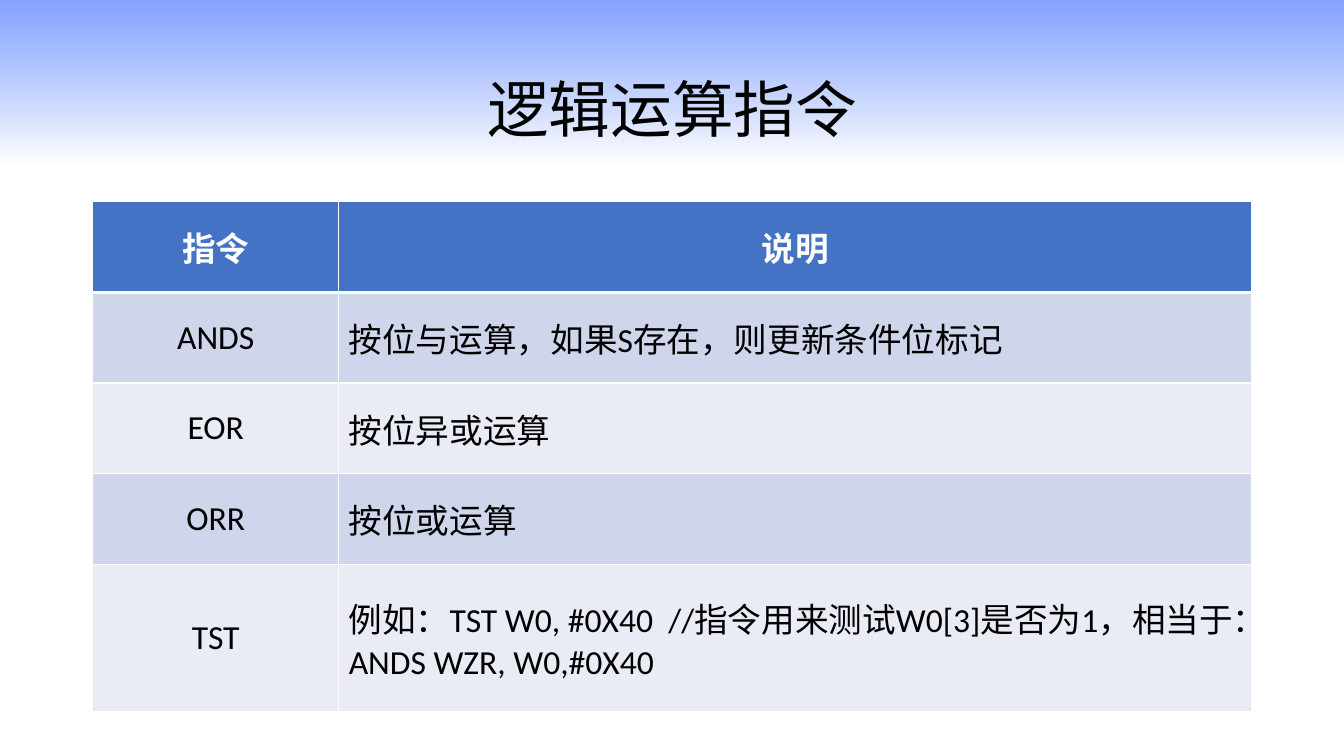
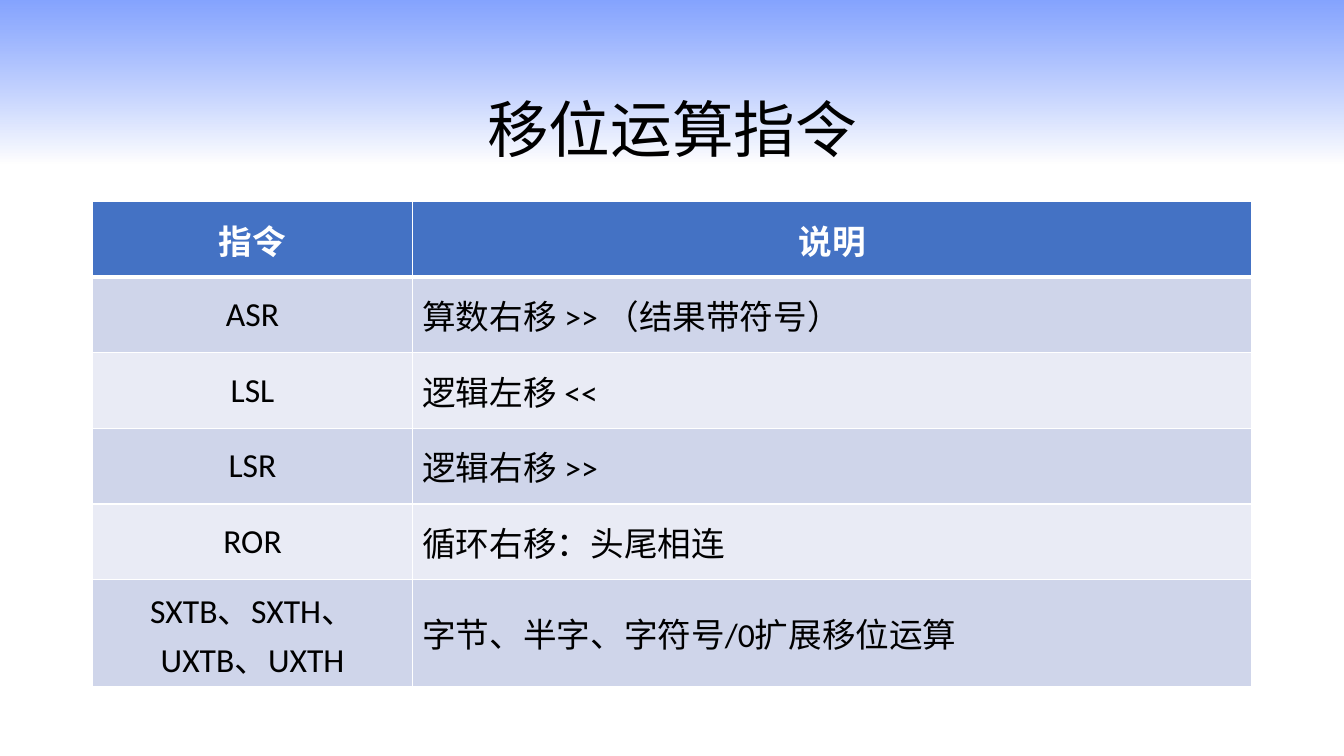
from dataclasses import dataclass

import lxml.etree
import pptx
import pptx.dml.color
import pptx.enum.shapes
import pptx.enum.text
import pptx.oxml.ns
import pptx.presentation
import pptx.slide
import pptx.table
import pptx.text.text
import pptx.util

COLORS = {
    "band": "3366FF",
    "white": "FFFFFF",
    "black": "000000",
    "header": "4472C4",
    "odd": "CFD5EA",
    "even": "E9EBF5",
}
TITLE_FONT, BODY_FONT = "Times New Roman", "Calibri"
TITLE_SIZE, BODY_SIZE = 44, 24
WIDTH, HEIGHT = pptx.util.Inches(13.33), pptx.util.Inches(7.5)

# Percentages of the slide's width and height
LEFT, CONTENT_WIDTH = 6.9, 86.25
BAND_HEIGHT, TITLE_HEIGHT, TABLE_TOP = 21.6, 11.5, 26.67
BAND_ALPHAS = (60, 70)

CENTER = pptx.enum.text.PP_ALIGN.CENTER
MIDDLE = pptx.enum.text.MSO_ANCHOR.MIDDLE
HEADER = ("指令", "说明")


@dataclass(frozen=True)
class InstructionSlide:
    title: str
    title_top: float  # % of slide height
    first_column: float  # % of table width
    row_height: float  # % of slide height
    last_row_height: float  # % of slide height, for the row of several lines
    rows: tuple[tuple[str, str], ...]  # a line break starts a new paragraph


SLIDES = (
    InstructionSlide("逻辑运算指令", 9.07, 21.22, 12, 19.5, (
        ("ANDS", "按位与运算，如果S存在，则更新条件位标记"),
        ("EOR", "按位异或运算"),
        ("ORR", "按位或运算"),
        ("TST", "例如：TST W0, #0X40  //指令用来测试W0[3]是否为1，相当于：\n"
                "ANDS WZR, W0,#0X40"),
    )),
    InstructionSlide("移位运算指令", 11.73, 27.57, 10, 14.2, (
        ("ASR", "算数右移 >> （结果带符号）"),
        ("LSL", "逻辑左移 <<"),
        ("LSR", "逻辑右移 >>"),
        ("ROR", "循环右移：头尾相连"),
        ("SXTB、SXTH、\nUXTB、UXTH", "字节、半字、字符号/0扩展移位运算"),
    )),
)


def across(percent: float) -> int:
    return round(WIDTH * percent / 100)


def down(percent: float) -> int:
    return round(HEIGHT * percent / 100)


def rgb(name: str) -> pptx.dml.color.RGBColor:
    return pptx.dml.color.RGBColor.from_string(COLORS[name])


def add_child(parent: lxml.etree._Element, tag: str,
              **attributes: str) -> lxml.etree._Element:
    return lxml.etree.SubElement(parent, pptx.oxml.ns.qn(tag), attributes)


def add_run(p: pptx.text.text._Paragraph, text: str, font: str, size: int,
            color: str, bold: bool = False) -> None:
    r = p.add_run()
    r.text = text
    r.font.name, r.font.size, r.font.bold = font, pptx.util.Pt(size), bold
    r.font.color.rgb = rgb(color)


def add_band(s: pptx.slide.Slide) -> None:
    sp = s.shapes.add_shape(pptx.enum.shapes.MSO_SHAPE.RECTANGLE,
                            0, 0, WIDTH, down(BAND_HEIGHT))
    sp.shadow.inherit = False
    sp.line.fill.background()
    sp.fill.gradient()
    sp.fill.gradient_angle = 270
    stops = sp.fill.gradient_stops
    for stop, position, color in zip(stops, (0, 1), ("band", "white")):
        stop.position = position
        stop.color.rgb = rgb(color)
    colors = sp._element.spPr.iter(pptx.oxml.ns.qn("a:srgbClr"))
    for color, alpha in zip(colors, BAND_ALPHAS):
        add_child(color, "a:alpha", val=str(alpha * 1000))


def add_title(s: pptx.slide.Slide, text: str, top: float) -> None:
    sp = s.shapes.add_textbox(across(LEFT), down(top),
                              across(CONTENT_WIDTH), down(TITLE_HEIGHT))
    tf = sp.text_frame
    tf.word_wrap = True
    tf.vertical_anchor = MIDDLE
    p = tf.paragraphs[0]
    p.alignment, p.line_spacing = CENTER, 0.9
    add_run(p, text, TITLE_FONT, TITLE_SIZE, "black")


def add_borders(cell: pptx.table._Cell, row: int) -> None:
    # The header's lower edge is heavier than the other rules
    widths = {"L": 1, "R": 1, "T": 3 if row == 1 else 1, "B": 3 if row == 0 else 1}
    tc_pr = cell._tc.get_or_add_tcPr()
    for side, width in widths.items():
        ln = add_child(tc_pr, f"a:ln{side}", w=str(pptx.util.Pt(width)))
        add_child(add_child(ln, "a:solidFill"), "a:srgbClr", val=COLORS["white"])


def fill_cell(cell: pptx.table._Cell, text: str, row: int, column: int) -> None:
    header = row == 0
    add_borders(cell, row)
    cell.fill.solid()
    cell.fill.fore_color.rgb = rgb("header" if header else ("even", "odd")[row % 2])
    cell.vertical_anchor = MIDDLE
    tf = cell.text_frame
    for i, line in enumerate(text.split("\n")):
        p = tf.add_paragraph() if i else tf.paragraphs[0]
        if header or column == 0:
            p.alignment = CENTER
        add_run(p, line, BODY_FONT, BODY_SIZE, "white" if header else "black", header)


def add_instruction_table(s: pptx.slide.Slide, content: InstructionSlide) -> None:
    rows = (HEADER, *content.rows)
    heights = [content.row_height] * len(content.rows) + [content.last_row_height]
    table = s.shapes.add_table(
        len(rows), len(HEADER), across(LEFT), down(TABLE_TOP),
        across(CONTENT_WIDTH), down(sum(heights))).table
    shares = (content.first_column, 100 - content.first_column)
    for column, share in zip(table.columns, shares):
        column.width = across(CONTENT_WIDTH * share / 100)
    for i, (texts, height) in enumerate(zip(rows, heights)):
        table.rows[i].height = down(height)
        for j, text in enumerate(texts):
            fill_cell(table.cell(i, j), text, i, j)


def add_slide(prs: pptx.presentation.Presentation, content: InstructionSlide) -> None:
    s = prs.slides.add_slide(prs.slide_layouts[6])
    add_band(s)
    add_title(s, content.title, content.title_top)
    add_instruction_table(s, content)


def main() -> None:
    prs = pptx.Presentation()
    prs.slide_width, prs.slide_height = WIDTH, HEIGHT
    for content in SLIDES:
        add_slide(prs, content)
    prs.save("out.pptx")


if __name__ == "__main__":
    main()
